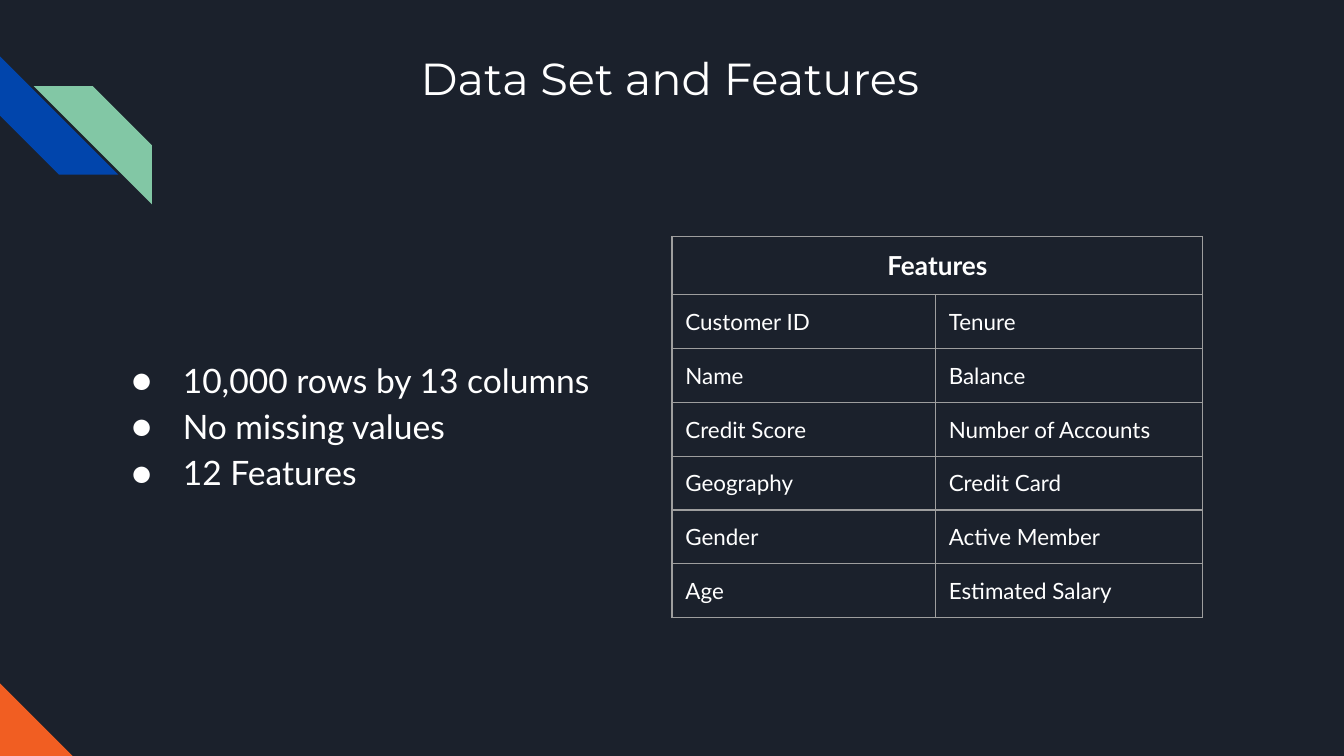
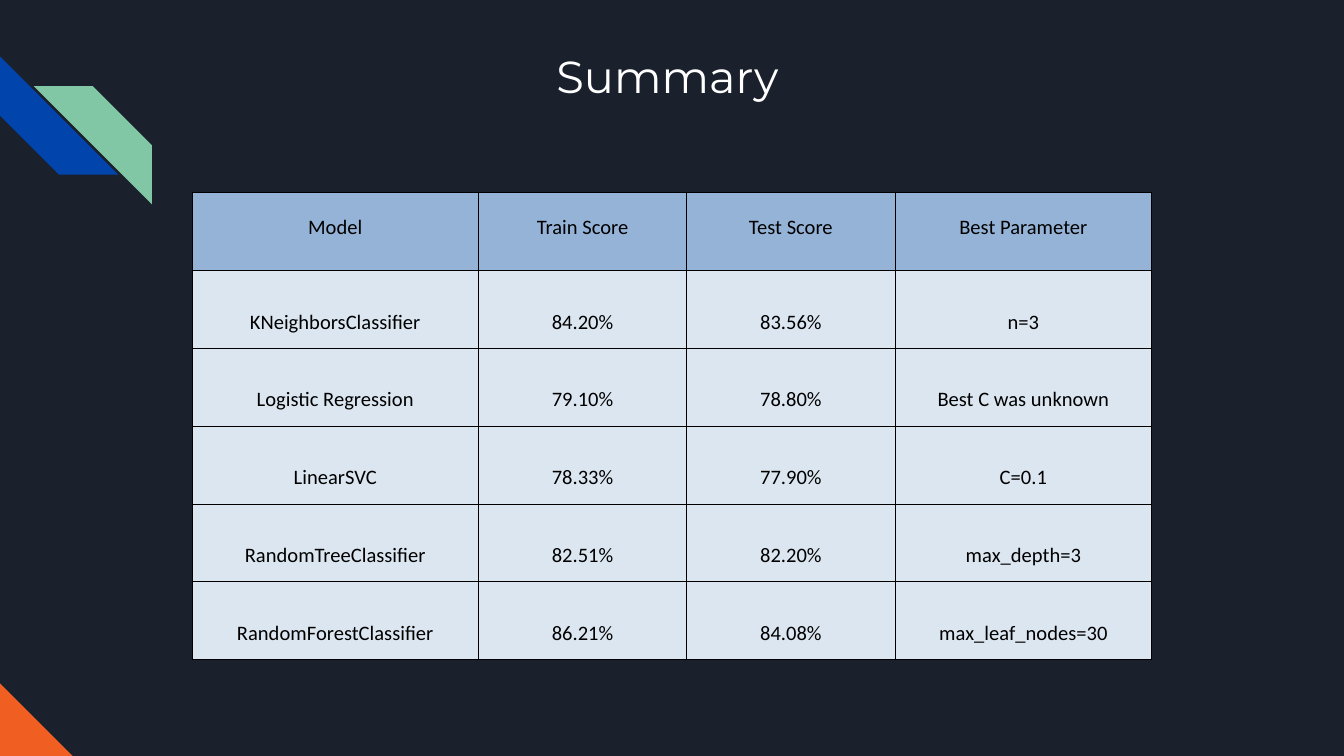
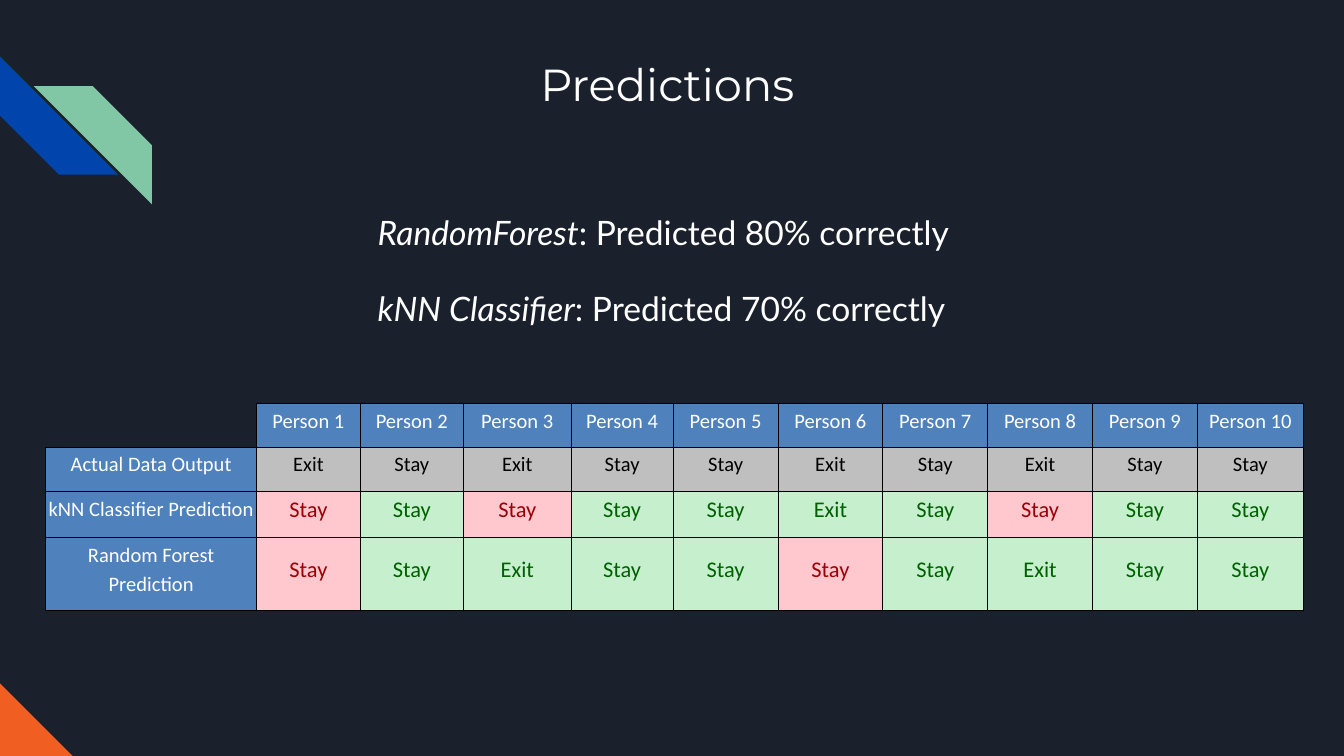
from dataclasses import dataclass, replace

from lxml.etree import SubElement
from pptx import Presentation
from pptx.dml.color import RGBColor
from pptx.enum.shapes import MSO_SHAPE as Preset
from pptx.enum.text import MSO_ANCHOR as Anchor, MSO_AUTO_SIZE as AutoSize, PP_ALIGN as Align
from pptx.oxml.ns import qn
from pptx.util import Inches, Pt

CELL = Inches(0.1)  # the grid has 100 columns and 56.25 rows
TITLE_ONLY, TITLE_AND_BODY = 5, 1

NIGHT, WHITE, BLACK, GRAY = "1B212C", "FFFFFF", "000000", "9E9E9E"
BLUE, MINT, ORANGE = "0145AC", "82C7A5", "F15E22"
HEADER_BLUE, PALE_BLUE, LABEL_BLUE = "95B3D7", "DCE6F1", "4F81BD"
ACTUAL_GRAY = "BFBFBF"
HIT, MISS = ("C6EFCE", "006100"), ("FFC7CE", "9C0006")


def grid(count):
    return round(count * CELL)


def hex_color(code):
    return RGBColor.from_string(code)


@dataclass(frozen=True)
class Look:
    """Appearance of one table cell; insets and lines run left, top, right, bottom."""
    font: str = "Calibri"
    size: int = 11
    color: str = BLACK
    bold: bool = False
    align: Align = Align.CENTER
    anchor: Anchor = Anchor.MIDDLE
    spacing: float = 1.15
    fill: str = ""
    insets: tuple = (0.1, 0.1, 0.1, 1)
    line: str = BLACK
    line_width: float = 0.5
    sides: str = "LRTB"


class Deck:
    def __init__(self):
        self.prs = Presentation()
        self.prs.slide_width = Inches(10)
        self.prs.slide_height = Inches(10) * 9 // 16
        self.paint(self.prs.slide_master.background, NIGHT)
        self.slide = None

    def paint(self, target, color):
        if color:
            target.fill.solid()
            target.fill.fore_color.rgb = hex_color(color)
        else:
            target.fill.background()

    def style_run(self, run, font, size, color, bold=False, italic=False):
        run.font.name, run.font.size = font, Pt(size)
        run.font.color.rgb = hex_color(color)
        run.font.bold, run.font.italic = bold, italic

    def new_slide(self, layout, title, *box):
        self.slide = self.prs.slides.add_slide(self.prs.slide_layouts[layout])
        for spare in list(self.slide.placeholders):
            if spare.placeholder_format.idx > 1:
                spare.element.getparent().remove(spare.element)
        self.ornament(Preset.DIAGONAL_STRIPE, BLUE, 0, 4.2, 8.8, 8.8, turn=270)
        self.ornament(Preset.DIAGONAL_STRIPE, MINT, 2.5, 6.4, 8.8, 8.8, flip=True)
        self.ornament(Preset.RECTANGLE, ORANGE, -7.2, 51.2, 10.5, 11.1, turn=45)
        frame = self.place(self.slide.shapes.title, *box)
        frame.text = title
        frame.paragraphs[0].alignment = Align.LEFT
        self.style_run(frame.paragraphs[0].runs[0], "Montserrat", 24, WHITE)

    def ornament(self, preset, color, left, top, width, height, turn=0, flip=False):
        shape = self.slide.shapes.add_shape(preset, *map(grid, (left, top, width, height)))
        shape.shadow.inherit = False
        self.paint(shape, color)
        shape.line.fill.background()
        shape.rotation = turn
        if flip:
            shape.element.spPr.find(qn("a:xfrm")).set("flipH", "1")

    def place(self, holder, left, top, width, height):
        """Move a placeholder and return its text frame, ready for text."""
        holder.left, holder.top = grid(left), grid(top)
        holder.width, holder.height = grid(width), grid(height)
        frame = holder.text_frame
        frame.word_wrap, frame.auto_size = True, AutoSize.NONE
        frame.vertical_anchor = Anchor.TOP
        frame.margin_left = frame.margin_right = grid(1)
        frame.margin_top = frame.margin_bottom = grid(1)
        return frame

    def body(self, lines, *box, bullet="", gap=0):
        """Fill the body; each line is a pair of an italic lead and plain text."""
        frame = self.place(self.slide.placeholders[1], *box)
        for number, (lead, rest) in enumerate(lines):
            paragraph = frame.paragraphs[0] if number == 0 else frame.add_paragraph()
            paragraph.alignment, paragraph.line_spacing = Align.LEFT, 1.15
            paragraph.space_before = Pt(gap if number else 0)
            for words, italic in ((lead, True), (rest, False)):
                if words:
                    run = paragraph.add_run()
                    run.text = words
                    self.style_run(run, "Lato", 18, WHITE, italic=italic)
            self.mark(paragraph, bullet)

    def mark(self, paragraph, bullet):
        props = paragraph._p.get_or_add_pPr()
        props.set("marL", str(grid(5 if bullet else 0)))
        props.set("indent", str(grid(-3.8 if bullet else 0)))
        if bullet:
            color = SubElement(props, qn("a:buClr"))
            SubElement(color, qn("a:srgbClr"), val=WHITE)
            SubElement(props, qn("a:buFont"), typeface="Lato")
            SubElement(props, qn("a:buChar"), char=bullet)
        else:
            SubElement(props, qn("a:buNone"))

    def table(self, rows, look_at, left, top, height, columns, row_heights):
        """Draw rows of text; look_at(row, column) gives each cell's Look."""
        frame = self.slide.shapes.add_table(
            len(rows), len(columns), *map(grid, (left, top, sum(columns), height)))
        table = frame.table
        table.first_row = table.horz_banding = False
        for column, width in zip(table.columns, columns):
            column.width = grid(width)
        for row, row_height in zip(table.rows, row_heights):
            row.height = grid(row_height)
        frame.height = grid(height)
        for r, row in enumerate(rows):
            for c, words in enumerate(row):
                self.fill_cell(table.cell(r, c), words, look_at(r, c))
        return table

    def fill_cell(self, cell, words, look):
        cell.vertical_anchor = look.anchor
        (cell.margin_left, cell.margin_top,
         cell.margin_right, cell.margin_bottom) = map(grid, look.insets)
        cell.text = words
        paragraph = cell.text_frame.paragraphs[0]
        paragraph.alignment, paragraph.line_spacing = look.align, look.spacing
        for run in paragraph.runs:
            self.style_run(run, look.font, look.size, look.color, look.bold)
        if not words:
            SubElement(paragraph._p, qn("a:endParaRPr"), sz=str(look.size * 100))
        props = cell._tc.get_or_add_tcPr()
        for side in "LRTB":
            edge = SubElement(props, qn(f"a:ln{side}"), w=str(Pt(look.line_width)))
            if side in look.sides:
                ink = SubElement(edge, qn("a:solidFill"))
                SubElement(ink, qn("a:srgbClr"), val=look.line)
            else:
                SubElement(edge, qn("a:noFill"))
        self.paint(cell, look.fill)


def data_set(deck):
    deck.new_slide(TITLE_AND_BODY, "Data Set and Features", 30.3, 2.8, 39.5, 5.7)
    facts = ["10,000 rows by 13 columns", "No missing values", "12 Features"]
    deck.body([("", fact) for fact in facts], 7.6, 25.3, 38.8, 12.7, bullet="●")
    features = [
        ("Features", ""),
        ("Customer ID", "Tenure"),
        ("Name", "Balance"),
        ("Credit Score", "Number of Accounts"),
        ("Geography", "Credit Card"),
        ("Gender", "Active Member"),
        ("Age", "Estimated Salary"),
    ]
    entry = Look("Lato", 12, WHITE, align=Align.LEFT, anchor=Anchor.TOP, spacing=1.0,
                 insets=(1, 1, 1, 1), line=GRAY, line_width=0.75)
    heading = replace(entry, size=14, bold=True, align=Align.CENTER)
    table = deck.table(features, lambda r, c: entry if r else heading,
                       50, 17.6, 28.3, [19.6, 19.9], [3.5] * len(features))
    table.cell(0, 0).merge(table.cell(0, 1))


def summary(deck):
    deck.new_slide(TITLE_ONLY, "Summary", 40.4, 2.6, 19.1, 6)
    scores = [
        ("Model", "Train Score", "Test Score", "Best Parameter"),
        ("KNeighborsClassifier", "84.20%", "83.56%", "n=3"),
        ("Logistic Regression", "79.10%", "78.80%", "Best C was unknown"),
        ("LinearSVC", "78.33%", "77.90%", "C=0.1"),
        ("RandomTreeClassifier", "82.51%", "82.20%", "max_depth=3"),
        ("RandomForestClassifier", "86.21%", "84.08%", "max_leaf_nodes=30"),
    ]
    heading = Look(fill=HEADER_BLUE)
    score = Look(fill=PALE_BLUE, anchor=Anchor.BOTTOM)
    label = replace(score, spacing=1.0)

    def look_at(r, c):
        if r == 0:
            return heading
        return score if c in (1, 2) else label

    deck.table(scores, look_at, 14.3, 14.3, 34.8, [21.3, 15.5, 15.5, 19.1],
               [5.8] * len(scores))


def predictions(deck):
    deck.new_slide(TITLE_AND_BODY, "Predictions", 39.2, 3.2, 21.5, 6.8)
    deck.body([("RandomForest", ": Predicted 80% correctly"),
               ("kNN Classifier", ": Predicted 70% correctly")],
              27.1, 14.3, 45.9, 10.6, gap=16)
    outcomes = {
        "Actual Data Output": "Exit Stay Exit Stay Stay Exit Stay Exit Stay Stay",
        "kNN Classifier Prediction": "Stay Stay Stay Stay Stay Exit Stay Stay Stay Stay",
        "Random Forest Prediction": "Stay Stay Exit Stay Stay Stay Stay Exit Stay Stay",
    }
    people = [f"Person {number}" for number in range(1, 11)]
    rows = [["", *people]] + [[name, *line.split()] for name, line in outcomes.items()]
    label = Look(color=WHITE, fill=LABEL_BLUE)

    def look_at(r, c):
        """Green marks a prediction that agrees with the actual row, red one that does not."""
        if r == c == 0:
            return Look(sides="RB")
        if r == 0 or c == 0:
            return label
        if r == 1:
            return Look(fill=ACTUAL_GRAY)
        fill, ink = HIT if rows[r][c] == rows[1][c] else MISS
        return Look(size=12, color=ink, fill=fill)

    columns = [15.7, 7.7, 7.7, 8, 7.6] + [7.8] * 5 + [7.9]
    deck.table(rows, look_at, 3.4, 30, 14.6, columns, [2.7, 2.7, 2.9, 2.9])


def main():
    deck = Deck()
    for build in (data_set, summary, predictions):
        build(deck)
    deck.prs.save("out.pptx")


if __name__ == "__main__":
    main()
